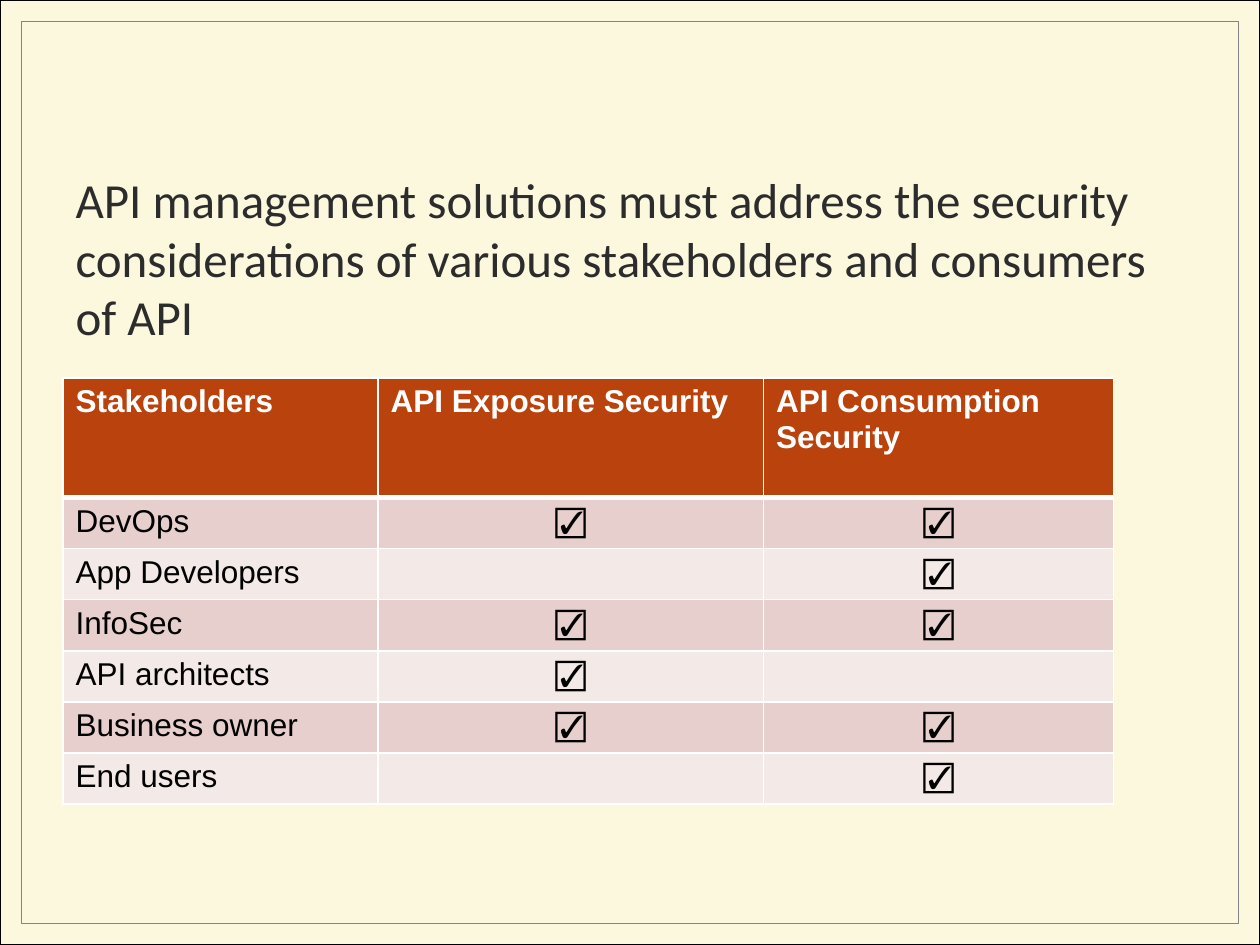
from pptx import Presentation
from pptx.dml.color import RGBColor
from pptx.enum.shapes import MSO_SHAPE
from pptx.enum.text import MSO_ANCHOR, MSO_AUTO_SIZE, PP_ALIGN
from pptx.oxml import parse_xml
from pptx.oxml.ns import nsdecls
from pptx.util import Cm, Pt

RECT = MSO_SHAPE.RECTANGLE
MIDDLE, NO_FIT = MSO_ANCHOR.MIDDLE, MSO_AUTO_SIZE.NONE
LEFT, CENTER = PP_ALIGN.LEFT, PP_ALIGN.CENTER

CREAM = RGBColor(0xFC, 0xF8, 0xDE)
BLACK = RGBColor(0, 0, 0)
GRAY = RGBColor(0x84, 0x84, 0x84)
INK = RGBColor(0x2C, 0x2C, 0x2C)
WHITE = RGBColor(0xFF, 0xFF, 0xFF)
RUST = RGBColor(0xB9, 0x42, 0x0D)
BANDS = RGBColor(0xE6, 0xCF, 0xCC), RGBColor(0xF3, 0xE9, 0xE7)

TITLE = {"name": "Calibri", "size": Pt(28)}
HEAD = {"name": "Arial", "size": Pt(18), "bold": True}
BODY = {**HEAD, "bold": False}

WIDTH, HEIGHT = 25.4, 19.05
COLS = 6.35, 7.77, 7.06
HEAD_H, ROW_H = 2.41, 1.03
MARK = "☑"
ROWS = [
    ("Stakeholders", "API Exposure Security", "API Consumption Security"),
    ("DevOps", MARK, MARK),
    ("App Developers", "", MARK),
    ("InfoSec", MARK, MARK),
    ("API architects", MARK, ""),
    ("Business owner", MARK, MARK),
    ("End users", "", MARK),
]


def style(font, look, color):
    for key, value in look.items():
        setattr(font, key, value)
    font.color.rgb = color


def add_frame(slide, box, depth, fill, line, weight):
    """Rectangle placed behind the title at the given stacking depth."""
    frame = slide.shapes.add_shape(RECT, *map(Cm, box))
    frame.shadow.inherit = False
    if fill is None:
        frame.fill.background()
    else:
        frame.fill.solid()
        frame.fill.fore_color.rgb = fill
    frame.line.color.rgb = line
    frame.line.width = Pt(weight)
    slide.shapes._spTree.insert(2 + depth, frame._element)


def add_back(slide, box):
    x, y, w, h = box
    gap = 0.43
    add_frame(slide, box, 0, CREAM, BLACK, 0.75)
    inner = x + gap, y + gap, w - 2 * gap, h - 2 * gap
    add_frame(slide, inner, 1, None, GRAY, 0.5)


def add_title(slide, box, text):
    title = slide.shapes.title
    title.left, title.top, title.width, title.height = map(Cm, box)
    frame = title.text_frame
    frame.text = text
    form = {"word_wrap": True, "auto_size": NO_FIT, "vertical_anchor": MIDDLE}
    for key, value in form.items():
        setattr(frame, key, value)
    para = frame.paragraphs[0]
    para.alignment = LEFT
    style(para.runs[0].font, TITLE, INK)


def add_edges(cell, base):
    """White cell borders; base is the weight of the bottom or top rule."""
    props = cell._tc.get_or_add_tcPr()
    for spot, (side, weight) in enumerate(base.items()):
        props.insert(spot, parse_xml(
            f'<a:{side} {nsdecls("a")} w="{Pt(weight)}"><a:solidFill>'
            f'<a:srgbClr val="{WHITE}"/></a:solidFill></a:{side}>'))


def add_grid(slide, box):
    shape = slide.shapes.add_table(len(ROWS), len(COLS), *map(Cm, box))
    table = shape.table
    for col, width in zip(table.columns, COLS):
        col.width = Cm(width)
    for r, texts in enumerate(ROWS):
        head = r == 0
        table.rows[r].height = Cm(HEAD_H if head else ROW_H)
        edges = {"lnL": 1, "lnR": 1, "lnT": 3 if r == 1 else 1,
                 "lnB": 3 if head else 1}
        for c, text in enumerate(texts):
            cell = table.cell(r, c)
            cell.fill.solid()
            cell.fill.fore_color.rgb = RUST if head else BANDS[(r - 1) % 2]
            add_edges(cell, edges)
            if text:
                cell.text = text
                para = cell.text_frame.paragraphs[0]
                para.alignment = CENTER if text == MARK else LEFT
                style(para.runs[0].font, HEAD if head else BODY,
                      WHITE if head else BLACK)


def main():
    deck = Presentation()
    deck.slide_width, deck.slide_height = Cm(WIDTH), Cm(HEIGHT)
    slide = deck.slides.add_slide(deck.slide_layouts[5])
    # Background and frame
    add_back(slide, (0, 0, WIDTH, HEIGHT))
    # Heading
    add_title(slide, (1.27, 3.6, 22.86, 3.18),
              "API management solutions must address the security "
              "considerations of various stakeholders and consumers of API")
    # Stakeholder table
    tall = HEAD_H + ROW_H * (len(ROWS) - 1)
    add_grid(slide, (1.27, 7.62, sum(COLS), tall))
    deck.save("out.pptx")


if __name__ == "__main__":
    main()
